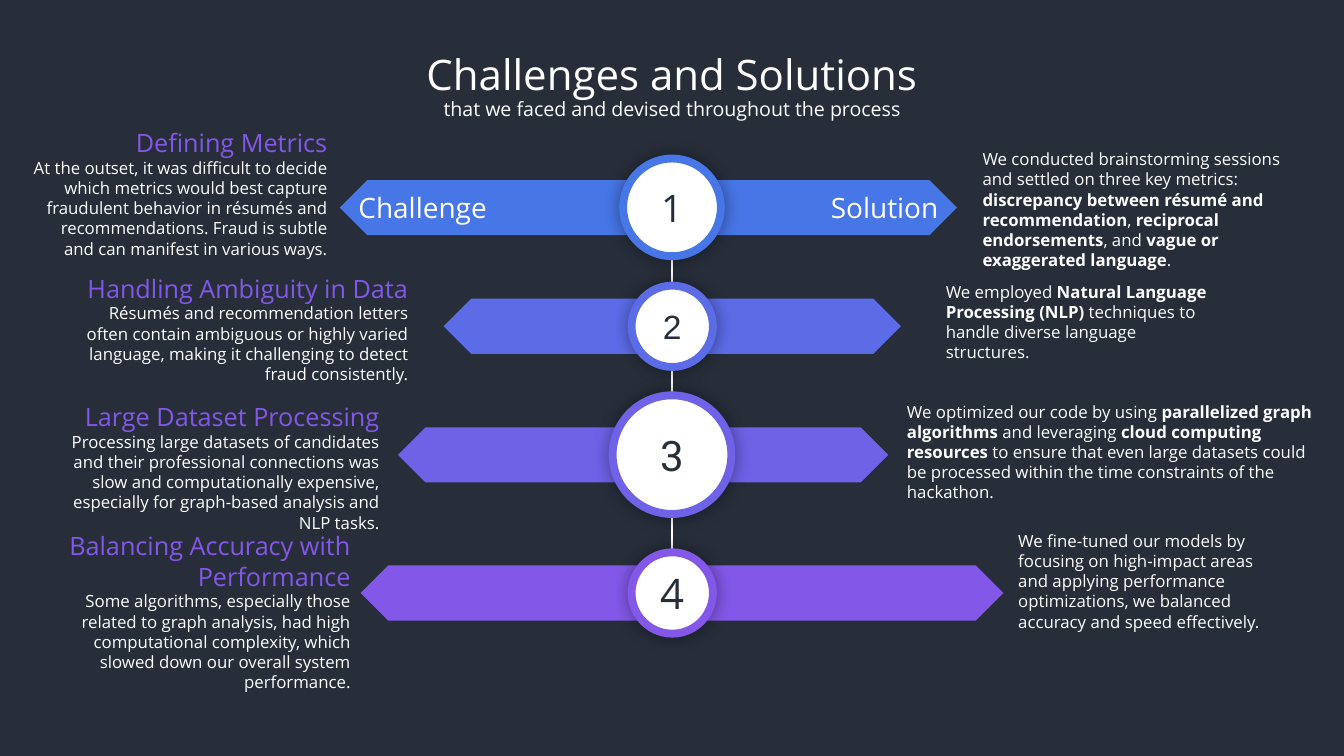
import pptx
import pptx.dml.color
import pptx.enum.shapes
import pptx.enum.text
import pptx.oxml
import pptx.oxml.ns
import pptx.util

PX = 9525
WIDTH, HEIGHT = 2560, 1440
CENTER = WIDTH // 2
BAR_HEIGHT = 105

RGB = pptx.dml.color.RGBColor
NIGHT = RGB(0x27, 0x2E, 0x3A)
WHITE = RGB(0xFF, 0xFF, 0xFF)
BLUE = RGB(0x47, 0x76, 0xE6)
INDIGO = RGB(0x5B, 0x6C, 0xE6)
VIOLET = RGB(0x6F, 0x62, 0xE7)
PURPLE = RGB(0x83, 0x58, 0xE8)

SHAPE = pptx.enum.shapes.MSO_SHAPE
ALIGN = pptx.enum.text.PP_ALIGN
ANCHOR = pptx.enum.text.MSO_ANCHOR
FIT = pptx.enum.text.MSO_AUTO_SIZE
SANS = "Open Sans"

ROWS = [
    {"color": BLUE, "middle": 395, "ends": (647, 1823), "diameter": 186,
     "number": ("1", 54, SANS), "labels": ("Challenge", "Solution"),
     "challenge_at": (54, 238, 579, 262), "heading": "Defining Metrics",
     "challenge": "At the outset, it was difficult to decide which metrics would best capture "
                  "fraudulent behavior in résumés and recommendations. Fraud is subtle and can "
                  "manifest in various ways.",
     "solution_at": (1862, 279, 631, 204),
     "solution": ["We conducted brainstorming sessions and settled on three key metrics: ",
                  "discrepancy between résumé and recommendation", ", ",
                  "reciprocal endorsements", ", and ", "vague or exaggerated language", "."]},
    {"color": INDIGO, "middle": 621, "ends": (845, 1716), "diameter": 155,
     "number": ("2", 48, "Arial"), "labels": ("", ""),
     "challenge_at": (137, 515, 650, 223), "heading": "Handling Ambiguity in Data",
     "challenge": "Résumés and recommendation letters often contain ambiguous or highly varied "
                  "language, making it challenging to detect fraud consistently.",
     "solution_at": (1792, 531, 538, 126),
     "solution": ["We employed ", "Natural Language Processing (NLP)",
                  " techniques to handle diverse language structures."]},
    {"color": VIOLET, "middle": 866, "ends": (758, 1692), "diameter": 226,
     "number": ("3", 60, "Roboto"), "labels": ("", ""),
     "challenge_at": (82, 760, 650, 223), "heading": "Large Dataset Processing",
     "challenge": "Processing large datasets of candidates and their professional connections was "
                  "slow and computationally expensive, especially for graph-based analysis and "
                  "NLP tasks.",
     "solution_at": (1718, 760, 796, 204),
     "solution": ["We optimized our code by using ", "parallelized graph algorithms",
                  " and leveraging ", "cloud computing resources",
                  " to ensure that even large datasets could be processed within the time "
                  "constraints of the hackathon."]},
    {"color": PURPLE, "middle": 1129, "ends": (687, 1911), "diameter": 155,
     "number": ("4", 60, SANS), "labels": ("", ""),
     "challenge_at": (82, 1006, 595, 281), "heading": "Balancing Accuracy with Performance",
     "challenge": "Some algorithms, especially those related to graph analysis, had high "
                  "computational complexity, which slowed down our overall system performance.",
     "solution_at": (1930, 1006, 530, 204),
     "solution": ["We fine-tuned our models by focusing on high-impact areas and applying "
                  "performance optimizations, we balanced accuracy and speed effectively."]},
]


def emu(lengths):
    return [length * PX for length in lengths]


def apply(target, formats):
    for name, value in formats.items():
        setattr(target, name, value)


def write(para, pieces, size, color, align, font=SANS):
    para.alignment = align
    for index, piece in enumerate(pieces):
        span = para.add_run()
        span.text = piece
        apply(span.font, {"name": font, "size": pptx.util.Pt(size), "bold": index % 2 == 1})
        span.font.color.rgb = color


def add_effects(element, content=""):
    effects = f"<a:effectLst {pptx.oxml.ns.nsdecls('a')}>{content}</a:effectLst>"
    element.spPr.append(pptx.oxml.parse_xml(effects))


def add_text(page, place, lines, align, spacing=None, fit=FIT.SHAPE_TO_FIT_TEXT):
    frame = page.shapes.add_textbox(*emu(place)).text_frame
    apply(frame, {"word_wrap": True, "auto_size": fit})
    for index, (pieces, size, color) in enumerate(lines):
        para = frame.add_paragraph() if index else frame.paragraphs[0]
        para.line_spacing = spacing
        write(para, pieces, size, color, align)


def add_bar(page, row, end, label, align):
    place = (min(end, CENTER), row["middle"] - BAR_HEIGHT // 2, abs(end - CENTER), BAR_HEIGHT)
    bar = page.shapes.add_shape(SHAPE.PENTAGON, *emu(place))
    bar.shadow.inherit = False
    bar.fill.solid()
    bar.fill.fore_color.rgb = row["color"]
    bar.line.fill.background()
    if end < CENTER:
        bar._element.spPr.xfrm.set("flipH", "1")
    if label:
        bar.text_frame.vertical_anchor = ANCHOR.MIDDLE
        write(bar.text_frame.paragraphs[0], [label], 40, WHITE, align)


def add_spine(page):
    ends = (CENTER, ROWS[0]["middle"], CENTER, ROWS[-1]["middle"])
    spine = page.shapes.add_connector(pptx.enum.shapes.MSO_CONNECTOR.STRAIGHT, *emu(ends))
    spine.line.color.rgb = WHITE
    spine.line.width = pptx.util.Pt(2.25)
    add_effects(spine._element)


def add_badge(page, row):
    diameter = row["diameter"]
    place = (CENTER - diameter // 2, row["middle"] - diameter // 2, diameter, diameter)
    badge = page.shapes.add_shape(SHAPE.OVAL, *emu(place))
    badge.fill.solid()
    badge.fill.fore_color.rgb = WHITE
    badge.line.color.rgb = row["color"]
    badge.line.width = pptx.util.Pt(11.25)
    add_effects(badge._element,
                f'<a:outerShdw blurRad="{pptx.util.Pt(25)}" dist="0" dir="0" algn="ctr" '
                'rotWithShape="0"><a:srgbClr val="000000"><a:alpha val="40000"/></a:srgbClr>'
                '</a:outerShdw>')
    number, size, font = row["number"]
    badge.text_frame.vertical_anchor = ANCHOR.MIDDLE
    write(badge.text_frame.paragraphs[0], [number], size, NIGHT, ALIGN.CENTER, font)


def main():
    deck = pptx.Presentation()
    apply(deck, {"slide_width": WIDTH * PX, "slide_height": HEIGHT * PX})
    page = deck.slides.add_slide(deck.slide_layouts[6])
    page.background.fill.solid()
    page.background.fill.fore_color.rgb = NIGHT

    for row in ROWS:
        for end, label, align in zip(row["ends"], row["labels"], (ALIGN.LEFT, ALIGN.RIGHT)):
            add_bar(page, row, end, label, align)
    add_spine(page)
    for row in ROWS:
        add_badge(page, row)

    title = [(["Challenges and Solutions"], 60, WHITE),
             (["that we faced and devised throughout the process"], 28, WHITE)]
    add_text(page, (698, 98, 1164, 162), title, ALIGN.CENTER, 0.9, FIT.NONE)
    for row in ROWS:
        challenge = [([row["heading"]], 36, PURPLE), ([row["challenge"]], 24, WHITE)]
        add_text(page, row["challenge_at"], challenge, ALIGN.RIGHT)
        add_text(page, row["solution_at"], [(row["solution"], 24, WHITE)], ALIGN.LEFT)
    deck.save("out.pptx")


if __name__ == "__main__":
    main()
